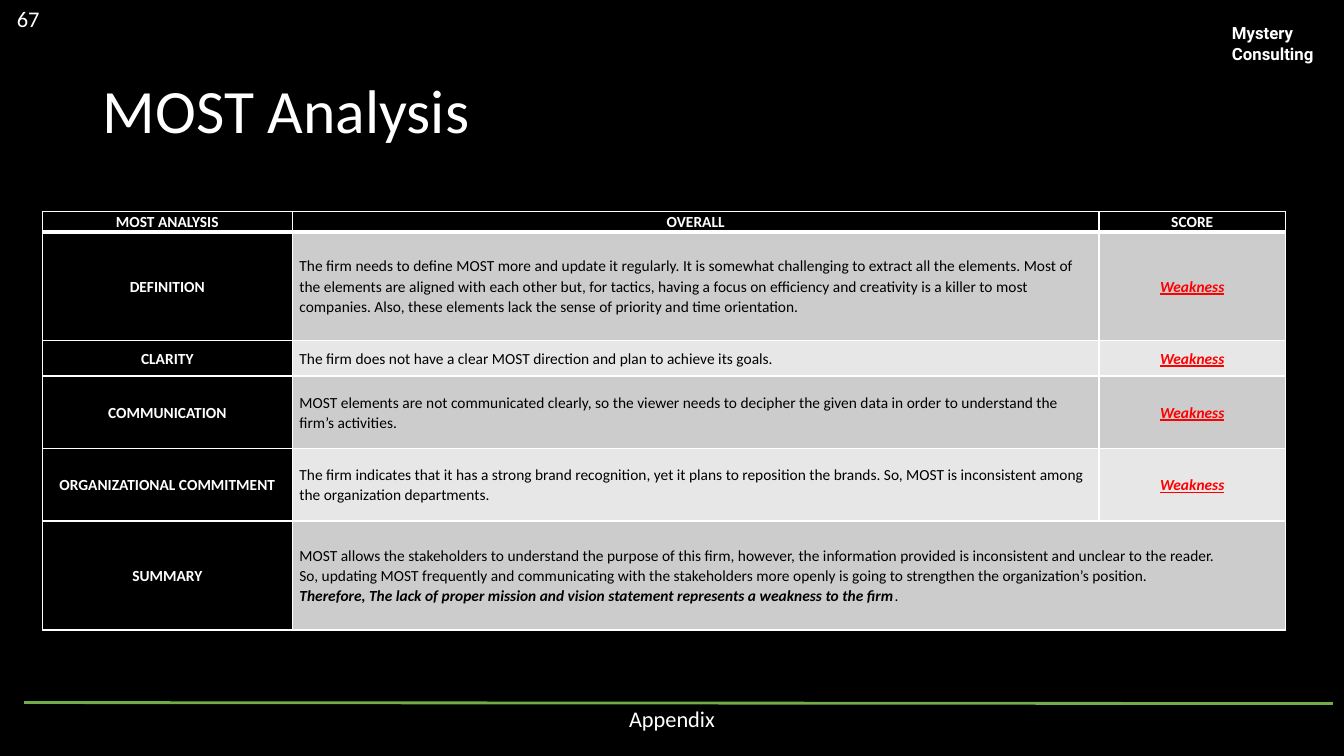
from lxml.etree import SubElement
from pptx import Presentation
from pptx.dml.color import RGBColor
from pptx.enum.shapes import MSO_CONNECTOR
from pptx.enum.text import MSO_ANCHOR, PP_ALIGN
from pptx.oxml.ns import qn
from pptx.util import Inches, Pt

BLACK = RGBColor(0x00, 0x00, 0x00)
WHITE = RGBColor(0xFF, 0xFF, 0xFF)
RED = RGBColor(0xFF, 0x00, 0x00)
GREEN = RGBColor(0x70, 0xAD, 0x47)
DARK_BAND = RGBColor(0xCC, 0xCC, 0xCC)
LIGHT_BAND = RGBColor(0xE7, 0xE7, 0xE7)

LABEL = {"bold": True, "color": WHITE}
BODY = {"bold": False, "color": BLACK}
CONCLUSION = {"bold": True, "italic": True, "color": BLACK}
SCORE = {"bold": True, "italic": True, "underline": True, "color": RED}

HEADINGS = ["MOST ANALYSIS", "OVERALL", "SCORE"]
FINDINGS = [
    ("DEFINITION", "The firm needs to define MOST more and update it regularly. It is somewhat "
     "challenging to extract all the elements. Most of the elements are aligned with each other "
     "but, for tactics, having a focus on efficiency and creativity is a killer to most companies. "
     "Also, these elements lack the sense of priority and time orientation."),
    ("CLARITY", "The firm does not have a clear MOST direction and plan to achieve its goals."),
    ("COMMUNICATION", "MOST elements are not communicated clearly, so the viewer needs to decipher "
     "the given data in order to understand the firm’s activities."),
    ("ORGANIZATIONAL COMMITMENT", "The firm indicates that it has a strong brand recognition, yet "
     "it plans to reposition the brands. So, MOST is inconsistent among the organization "
     "departments."),
]
SUMMARY = [
    [("MOST allows the stakeholders to understand the purpose of this firm, however, the "
      "information provided is inconsistent and unclear to the reader.", BODY)],
    [("So, updating MOST frequently and communicating with the stakeholders more openly is going "
      "to strengthen the organization’s position.", BODY)],
    [("Therefore, The lack of proper mission and vision statement represents a weakness to the "
      "firm", CONCLUSION), (".", BODY)],
]
COLUMN_WIDTHS = [2.48, 8, 1.85]
ROW_HEIGHTS = [0.2, 1.08, 0.35, 0.72, 0.72, 1.08]


def add_span(para, text, size, style, name="Calibri"):
    span = para.add_run()
    span.text = text
    formats = {"name": name, "size": Pt(size), **style}
    span.font.color.rgb = formats.pop("color")
    for key, value in formats.items():
        setattr(span.font, key, value)


def add_label(page, box, text, size, align=PP_ALIGN.LEFT, anchor=MSO_ANCHOR.TOP,
              name="Calibri", bold=False, spacing=1.0):
    frame = page.shapes.add_textbox(*map(Inches, box)).text_frame
    frame.word_wrap = True
    frame.vertical_anchor = anchor
    para = frame.paragraphs[0]
    para.alignment = align
    para.line_spacing = spacing
    add_span(para, text, size, {"bold": bold, "color": WHITE}, name)


def add_borders(cell, bottom):
    properties = cell._tc.get_or_add_tcPr()
    widths = {"lnL": 1, "lnR": 1, "lnT": 1, "lnB": bottom}
    for side, width in widths.items():
        line = SubElement(properties, qn(f"a:{side}"), w=str(Pt(width)))
        SubElement(SubElement(line, qn("a:solidFill")), qn("a:srgbClr"), val=str(WHITE))


def fill_cell(cell, paragraphs, fill, align, anchor=MSO_ANCHOR.MIDDLE, bottom=1):
    add_borders(cell, bottom)
    cell.fill.solid()
    cell.fill.fore_color.rgb = fill
    margins = {"margin_left": 0.07, "margin_right": 0.07, "margin_top": 0, "margin_bottom": 0}
    for key, value in margins.items():
        setattr(cell, key, Inches(value))
    cell.vertical_anchor = anchor
    frame = cell.text_frame
    for index, spans in enumerate(paragraphs):
        para = frame.add_paragraph() if index else frame.paragraphs[0]
        para.alignment = align
        para.line_spacing = 1.07
        for text, style in spans:
            add_span(para, text, 11, style)


def add_analysis_table(page, left, top):
    size = (sum(COLUMN_WIDTHS), sum(ROW_HEIGHTS))
    table = page.shapes.add_table(len(ROW_HEIGHTS), len(COLUMN_WIDTHS),
                                  *map(Inches, (left, top, *size))).table
    for column, width in zip(table.columns, COLUMN_WIDTHS):
        column.width = Inches(width)
    for row, height in zip(table.rows, ROW_HEIGHTS):
        row.height = Inches(height)

    for column, heading in enumerate(HEADINGS):
        fill_cell(table.cell(0, column), [[(heading, LABEL)]], BLACK, PP_ALIGN.CENTER,
                  MSO_ANCHOR.TOP, bottom=3)

    rows = [(label, [[(text, BODY)]], [[("Weakness", SCORE)]]) for label, text in FINDINGS]
    rows.append(("SUMMARY", SUMMARY, []))
    for index, (label, overall, score) in enumerate(rows, start=1):
        band = DARK_BAND if index % 2 else LIGHT_BAND
        fill_cell(table.cell(index, 0), [[(label, LABEL)]], BLACK, PP_ALIGN.CENTER)
        fill_cell(table.cell(index, 1), overall, band, PP_ALIGN.LEFT)
        fill_cell(table.cell(index, 2), score, band, PP_ALIGN.CENTER)
    last = len(rows)
    table.cell(last, 1).merge(table.cell(last, 2))


def add_header(page):
    add_label(page, (12.12, 0.18, 1.1, 0.5), "Mystery Consulting", 12, name="Roboto", bold=True)
    add_label(page, (0.92, 0.4, 10.81, 1.45), "MOST Analysis", 44,
              anchor=MSO_ANCHOR.MIDDLE, spacing=0.9)
    add_label(page, (0, -0.02, 0.56, 0.4), "67", 16, PP_ALIGN.CENTER, MSO_ANCHOR.MIDDLE)


def add_footer(page):
    add_label(page, (5.98, 6.95, 1.37, 0.37), "Appendix", 16, PP_ALIGN.CENTER)
    rule = page.shapes.add_connector(MSO_CONNECTOR.STRAIGHT,
                                     *map(Inches, (0.24, 6.97, 13.22, 6.98)))
    rule.line.color.rgb = GREEN
    rule.line.width = Pt(2)
    SubElement(rule._element.spPr, qn("a:effectLst"))


def main():
    deck = Presentation()
    deck.slide_width, deck.slide_height = Inches(13.33), Inches(7.5)
    page = deck.slides.add_slide(deck.slide_layouts[6])
    page.background.fill.solid()
    page.background.fill.fore_color.rgb = BLACK
    add_footer(page)
    add_header(page)
    add_analysis_table(page, 0.42, 2.1)
    deck.save("out.pptx")


if __name__ == "__main__":
    main()
